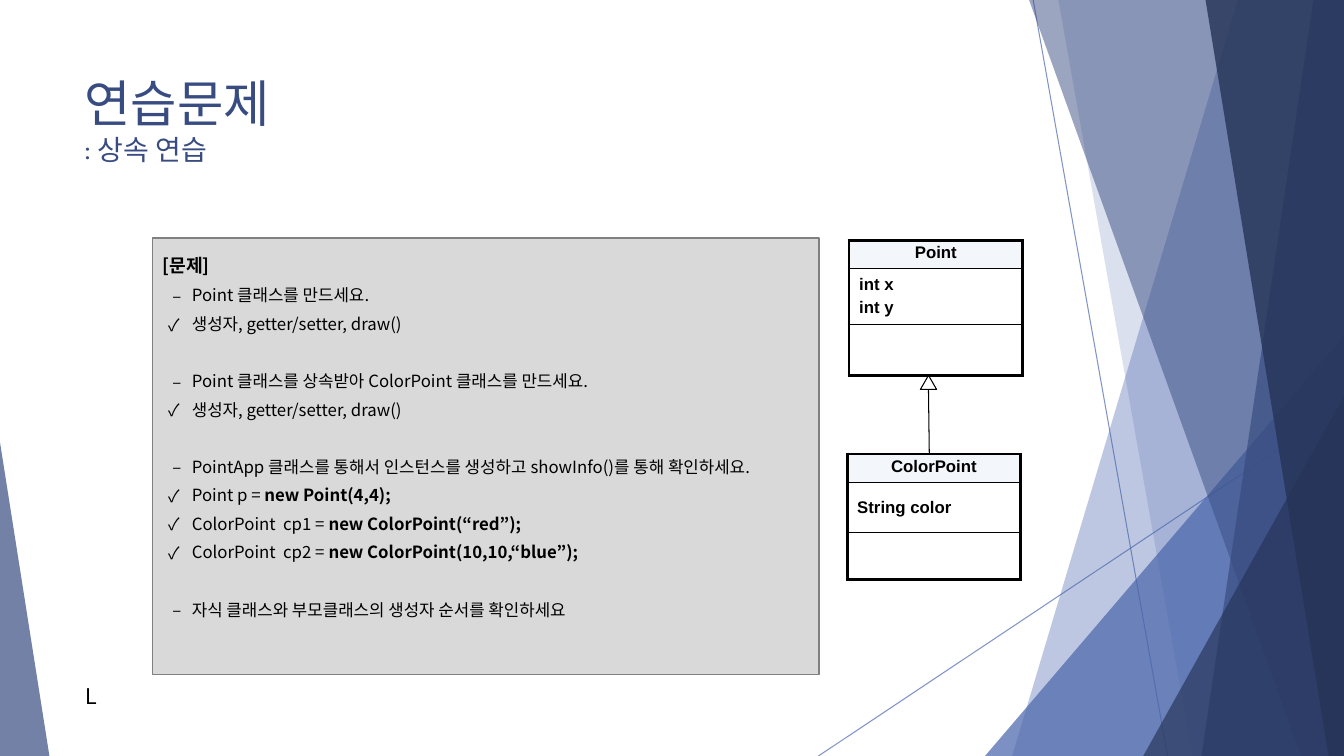
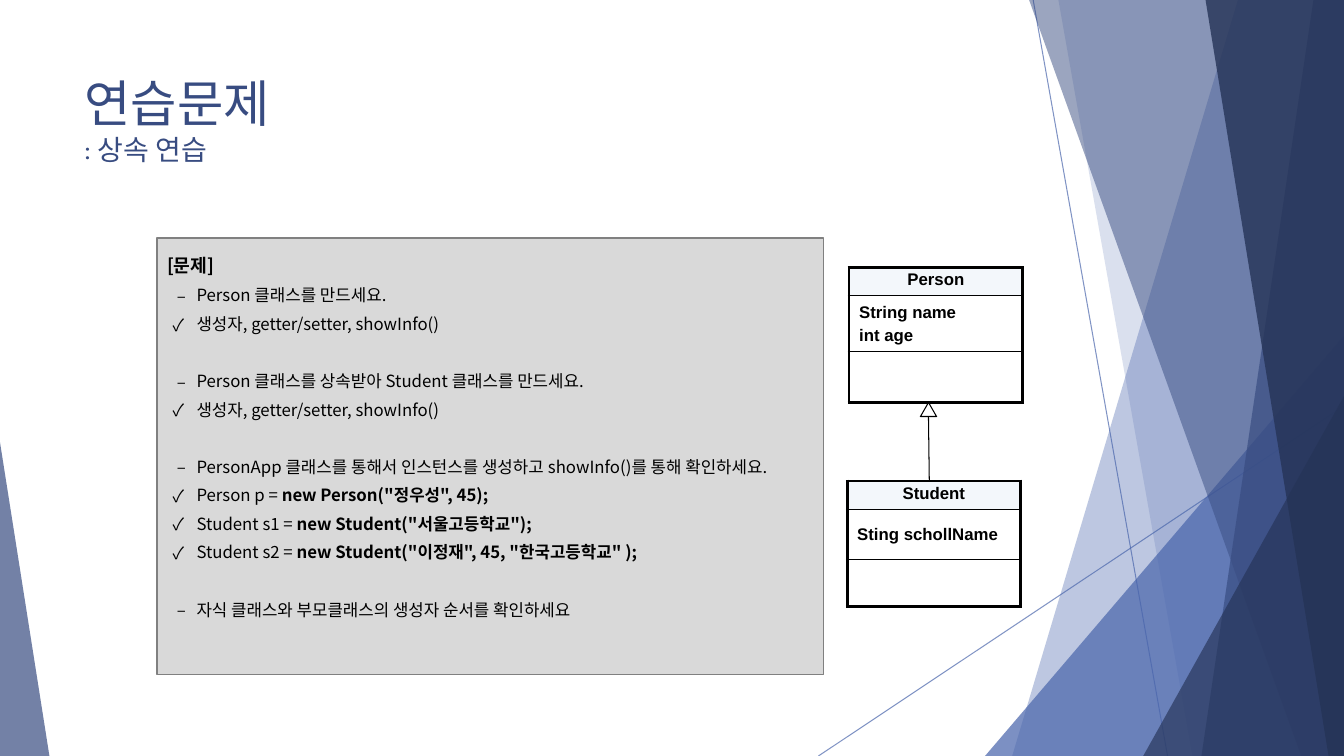
"""Build two exercise slides on class inheritance."""
from lxml.etree import SubElement
from pptx import Presentation
from pptx.dml.color import RGBColor
from pptx.enum.shapes import MSO_CONNECTOR as Connector, MSO_SHAPE as Shape
from pptx.enum.text import MSO_ANCHOR as Anchor, PP_ALIGN as Align
from pptx.oxml.ns import qn
from pptx.util import Pt

WIDTH, HEIGHT = 960, 540
BLUE, DEEP, NAVY = "4A66AC", "384C81", "253356"
BLACK, WHITE, GREY, EDGE, HEADER = "000000", "FFFFFF", "D9D9D9", "808080", "F3F7FB"
THEME_FONT, BODY_FONT, CLASS_FONT = "Karla", "Noto Sans CJK KR", "Arial"

TITLE = ("연습문제", ": 상속 연습")
INDENTS = {"–": -14, "✓": -17}
ITEM_GAP, GROUP_GAP, FIELD_GAP = 6, 26.4, 3
LAST_TASK = "자식 클래스와 부모클래스의 생성자 순서를 확인하세요"

EXERCISES = [
    {
        "left": 109,
        "top": 171.6,
        "groups": [
            ("Point 클래스를 만드세요.", [("생성자, getter/setter, draw()", "")]),
            ("Point 클래스를 상속받아 ColorPoint 클래스를 만드세요.",
             [("생성자, getter/setter, draw()", "")]),
            ("PointApp 클래스를 통해서 인스턴스를 생성하고 showInfo()를 통해 확인하세요.",
             [("Point p = ", "new Point(4,4);"),
              ("ColorPoint  cp1 = ", "new ColorPoint(“red”);"),
              ("ColorPoint  cp2 = ", "new ColorPoint(10,10,“blue”);")]),
            (LAST_TASK, []),
        ],
        "parent": ("Point", ["int x", "int y"]),
        "child": ("ColorPoint", ["String color"]),
    },
    {
        "left": 112.3,
        "top": 191,
        "groups": [
            ("Person 클래스를 만드세요.", [("생성자, getter/setter, showInfo()", "")]),
            ("Person 클래스를 상속받아 Student 클래스를 만드세요.",
             [("생성자, getter/setter, showInfo()", "")]),
            ("PersonApp 클래스를 통해서 인스턴스를 생성하고 showInfo()를 통해 확인하세요.",
             [("Person p = ", 'new Person("정우성", 45);'),
              ("Student s1 = ", 'new Student("서울고등학교");'),
              ("Student s2 = ", 'new Student("이정재", 45, "한국고등학교" );')]),
            (LAST_TASK, []),
        ],
        "parent": ("Person", ["String name", "int age"]),
        "child": ("Student", ["Sting schollName"]),
    },
]


def rgb(value):
    return RGBColor.from_string(value)


def points(*values):
    return [Pt(value) for value in values]


def set_values(target, values):
    for name, value in values.items():
        setattr(target, name, value)


def add_span(para, text, size, font, color=BLACK, bold=False):
    span = para.add_run()
    span.text = text
    set_values(span.font, {"size": Pt(size), "name": font, "bold": bold})
    span.font.color.rgb = rgb(color)
    SubElement(span.font._element, qn("a:ea"), typeface=font)
    return span


def set_alpha(shape, percent):
    for color in shape.element.spPr.iter(qn("a:srgbClr")):
        SubElement(color, qn("a:alpha"), val=str(percent * 1000))


def paint(shape, fill, line=None, weight=0.75):
    shape.shadow.inherit = False
    shape.fill.solid()
    shape.fill.fore_color.rgb = rgb(fill)
    if line:
        shape.line.color.rgb = rgb(line)
        shape.line.width = Pt(weight)
    else:
        shape.line.fill.background()


def add_line(page, start, end, color):
    line = page.shapes.add_connector(Connector.STRAIGHT, *points(*start, *end))
    line.line.color.rgb = rgb(color)
    line.line.width = Pt(0.75)
    SubElement(line.element.spPr, qn("a:effectLst"))
    return line


def add_band(page, top_x, bottom_x, color, alpha):
    outline = page.shapes.build_freeform(Pt(top_x), 0)
    corners = [(WIDTH, 0), (WIDTH, HEIGHT), (bottom_x, HEIGHT)]
    outline.add_line_segments([points(*corner) for corner in corners], close=True)
    band = outline.convert_to_shape()
    paint(band, color)
    set_alpha(band, alpha)


def add_wedge(page, left, top, width, apex, color, alpha):
    wedge = page.shapes.add_shape(
        Shape.ISOSCELES_TRIANGLE, *points(left, top, width, HEIGHT - top))
    wedge.adjustments[0] = apex
    paint(wedge, color)
    set_alpha(wedge, alpha)


def add_backdrop(page):
    for start, end in [((738, 0), (834, HEIGHT)), ((WIDTH, 290), (584.6, HEIGHT))]:
        set_alpha(add_line(page, start, end, BLUE), 70)
    add_band(page, 884.2, 723, BLUE, 36)
    add_band(page, 756, 851.8, BLUE, 20)
    add_wedge(page, 703.6, 240, 256.4, 1, BLUE, 72)
    add_band(page, 735.1, 929.5, DEEP, 50)
    add_band(page, 938.2, 858.2, DEEP, 70)
    add_band(page, 861.1, 949, NAVY, 80)
    add_wedge(page, 816.6, 283, 143.4, 1, NAVY, 66)
    add_wedge(page, 0, 316, 35.3, 0, DEEP, 70)


def add_title(page):
    box = page.shapes.add_textbox(*points(53.3, 48, 676.7, 104))
    box.text_frame.word_wrap = True
    para = box.text_frame.paragraphs[0]
    add_span(para, TITLE[0], 36, THEME_FONT, DEEP)
    para.add_line_break()
    add_span(para, TITLE[1], 20, THEME_FONT, DEEP)


def add_item(frame, bullet, gap, plain, strong=""):
    para = frame.add_paragraph()
    set_values(para, {"alignment": Align.LEFT, "space_before": Pt(gap)})
    layout = para._p.get_or_add_pPr()
    layout.set("marL", str(Pt(21)))
    layout.set("indent", str(Pt(INDENTS[bullet])))
    SubElement(layout, qn("a:buFont"), typeface=BODY_FONT)
    SubElement(layout, qn("a:buChar"), char=bullet)
    span = add_span(para, plain, 12, BODY_FONT)
    if bullet == "–":
        span.font._element.set("kern", "0")
    if strong:
        add_span(para, strong, 12, BODY_FONT, bold=True)


def add_problem(page, left, groups):
    box = page.shapes.add_shape(Shape.RECTANGLE, *points(left, 170, 476, 312))
    paint(box, GREY, EDGE, 1)
    frame = box.text_frame
    set_values(frame, {"word_wrap": True, "vertical_anchor": Anchor.TOP,
                       "margin_top": Pt(12)})
    heading = frame.paragraphs[0]
    heading.alignment = Align.LEFT
    add_span(heading, "[문제]", 13, BODY_FONT, bold=True)
    for index, (task, details) in enumerate(groups):
        add_item(frame, "–", GROUP_GAP if index else ITEM_GAP, task)
        for plain, strong in details:
            add_item(frame, "✓", ITEM_GAP, plain, strong)


def add_borders(cell, top, bottom):
    sides = {"lnL": 2.25, "lnR": 2.25, "lnT": top, "lnB": bottom}
    for side, weight in sides.items():
        line = SubElement(cell._tc.get_or_add_tcPr(), qn(f"a:{side}"), w=str(Pt(weight)))
        SubElement(SubElement(line, qn("a:solidFill")), qn("a:srgbClr"), val=BLACK)


def fill_cell(cell, lines, align, spacing):
    for index, text in enumerate(lines):
        frame = cell.text_frame
        para = frame.add_paragraph() if index else frame.paragraphs[0]
        set_values(para, {"alignment": align, "line_spacing": spacing})
        if index:
            para.space_before = Pt(FIELD_GAP)
        add_span(para, text, 12, CLASS_FONT, bold=True)


def add_class(page, left, top, heights, name, fields):
    frame = page.shapes.add_table(3, 1, *points(left, top, 124, sum(heights)))
    table = frame.table
    set_values(table, {"first_row": False, "horz_banding": False})
    rows = [([name], HEADER, Align.CENTER, 0.9, 2.25, 1),
            (fields, WHITE, Align.LEFT, 1.0, 1, 1),
            ([], WHITE, Align.LEFT, 1.0, 1, 2.25)]
    for index, (lines, fill, align, spacing, upper, lower) in enumerate(rows):
        table.rows[index].height = Pt(heights[index])
        cell = table.cell(index, 0)
        cell.vertical_anchor = Anchor.MIDDLE if index else Anchor.TOP
        add_borders(cell, upper, lower)
        cell.fill.solid()
        cell.fill.fore_color.rgb = rgb(fill)
        fill_cell(cell, lines, align, spacing)


def add_inheritance(page, top, parent, child):
    parent_rows, child_rows = (20, 40, 36.5), (20, 36, 33.5)
    parent_bottom, child_top = top + sum(parent_rows), top + 152.6
    add_class(page, 606.5, top, parent_rows, *parent)
    add_class(page, 605.1, child_top, child_rows, *child)
    line = add_line(page, (663.8, child_top), (663.1, parent_bottom), BLACK)
    SubElement(line.line._get_or_add_ln(), qn("a:tailEnd"), type="triangle")
    head = page.shapes.add_shape(
        Shape.ISOSCELES_TRIANGLE, *points(657.5, parent_bottom, 11.5, 10))
    paint(head, WHITE, BLACK)


def add_letter(page):
    box = page.shapes.add_textbox(*points(53.3, 481.7, 24, 29))
    box.text_frame.word_wrap = False
    add_span(box.text_frame.paragraphs[0], "L", 18, THEME_FONT)


def main():
    deck = Presentation()
    set_values(deck, {"slide_width": Pt(WIDTH), "slide_height": Pt(HEIGHT)})
    for exercise in EXERCISES:
        page = deck.slides.add_slide(deck.slide_layouts[6])
        add_backdrop(page)
        add_title(page)
        add_problem(page, exercise["left"], exercise["groups"])
        add_inheritance(page, exercise["top"], exercise["parent"], exercise["child"])
    add_letter(deck.slides[0])
    deck.save("out.pptx")


if __name__ == "__main__":
    main()
